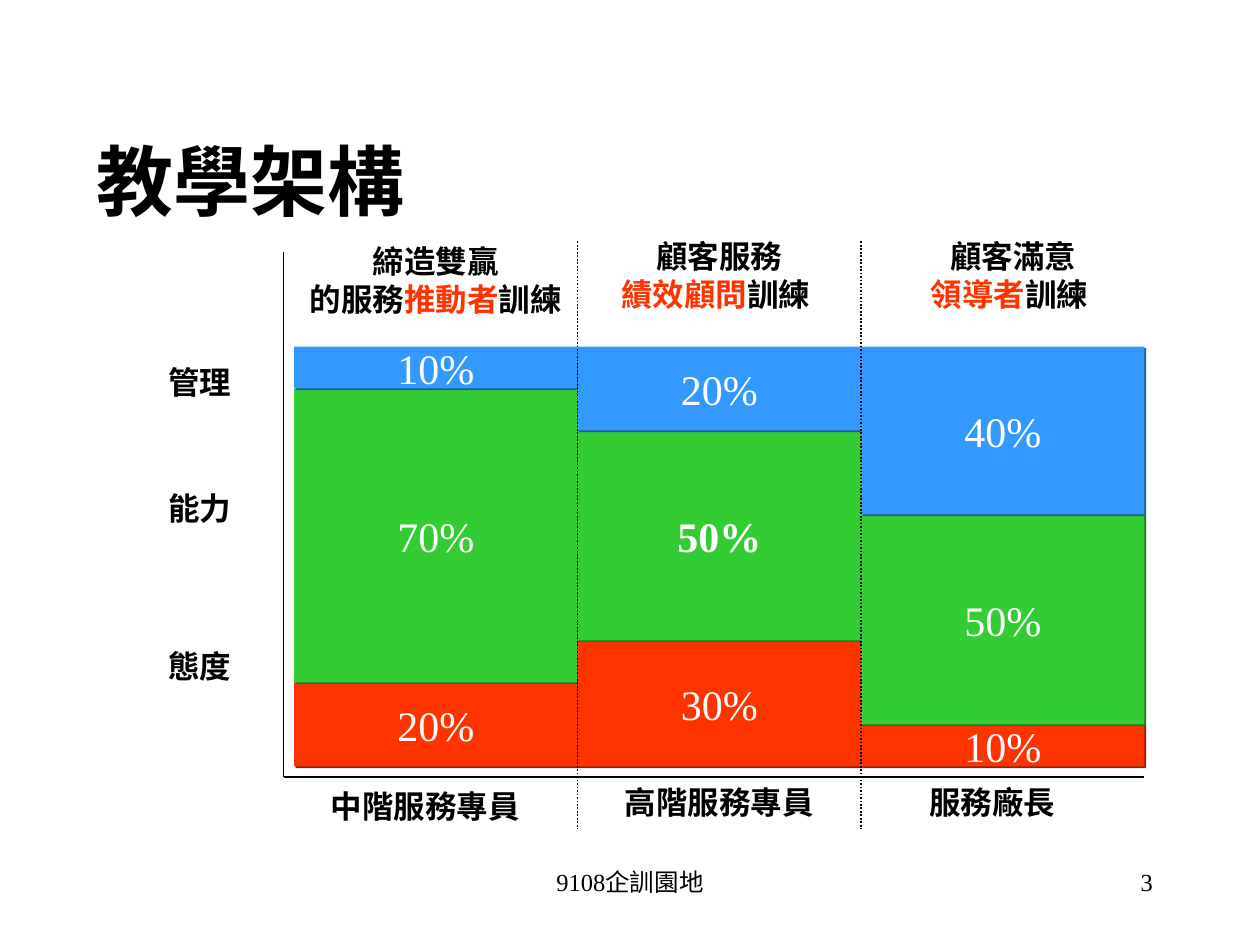
from dataclasses import dataclass

from lxml import etree
from pptx import Presentation
from pptx.dml.color import RGBColor
from pptx.enum.dml import MSO_LINE
from pptx.enum.shapes import MSO_CONNECTOR, MSO_SHAPE
from pptx.enum.text import MSO_ANCHOR, MSO_AUTO_SIZE, PP_ALIGN
from pptx.oxml.ns import qn
from pptx.util import Inches, Pt

LEFT, MID, RIGHT = PP_ALIGN.LEFT, PP_ALIGN.CENTER, PP_ALIGN.RIGHT
TOP, CORE = MSO_ANCHOR.TOP, MSO_ANCHOR.MIDDLE
GROW, FIXED = MSO_AUTO_SIZE.SHAPE_TO_FIT_TEXT, MSO_AUTO_SIZE.NONE
RECT, LINE, DOTS = MSO_SHAPE.RECTANGLE, MSO_CONNECTOR.STRAIGHT, MSO_LINE.ROUND_DOT
COLS, WIDE, HIGH = 120, 10, 7.5


@dataclass(frozen=True)
class Theme:
    """Hold the colours, fonts and type sizes."""

    ink: str = "000000"
    white: str = "FFFFFF"
    red: str = "FF3300"
    green: str = "33CC33"
    blue: str = "3399FF"
    shades: tuple = ("981E00", "1E791E", "1E5B98")
    latin: str = "Times New Roman"
    asian: str = "Noto Sans CJK TC"
    title: int = 44
    value: int = 24
    label: int = 18
    foot: int = 14


def put(item, values):
    """Set each named attribute of an item."""
    for name, value in values.items():
        setattr(item, name, value)


def unit(count):
    """Turn a count of grid columns or rows into a length."""
    return Inches(count * WIDE / COLS)


class Board:
    """Draw styled elements on the current slide."""

    def __init__(self, deck, theme):
        """Add a title-only slide."""
        self.theme = theme
        self.slide = deck.slides.add_slide(deck.slide_layouts[5])

    def fill_in(self, shape, lines, size, bold=False, color=None, align=MID,
                font=None, anchor=TOP, wrap=True, fit=FIXED):
        """Fill a shape with lines of text and coloured runs."""
        frame = shape.text_frame
        put(frame, dict(word_wrap=wrap, vertical_anchor=anchor, auto_size=fit))
        para = frame.paragraphs[0]
        para.alignment = align
        for row, line in enumerate(lines):
            if row:
                para.add_line_break()
            for part in line:
                text, tint = part if isinstance(part, tuple) else (part, color)
                run = para.add_run()
                run.text = text
                put(run.font, dict(size=Pt(size), bold=bold, name=font or self.theme.latin))
                run.font.color.rgb = RGBColor.from_string(tint or self.theme.ink)
                etree.SubElement(run.font._element, qn("a:ea"), typeface=self.theme.asian)

    def title(self, text, *box):
        """Place and fill the title."""
        shape = self.slide.shapes.title
        put(shape, dict(zip(("left", "top", "width", "height"), map(unit, box))))
        self.fill_in(shape, [[text]], self.theme.title, True, align=LEFT, anchor=CORE)

    def text(self, lines, box, size, **style):
        """Add a text box."""
        shape = self.slide.shapes.add_textbox(*map(unit, box))
        self.fill_in(shape, lines, size, **style)

    def label(self, lines, *box, font=None):
        """Add a bold centred label."""
        self.text(lines, box, self.theme.label, bold=True, font=font, fit=GROW)

    def bar(self, share, box, fill, shade, bold):
        """Add a block with its share and a thin shadow."""
        shape = self.slide.shapes.add_shape(RECT, *map(unit, box))
        shape.shadow.inherit = False
        shape.fill.solid()
        shape.fill.fore_color.rgb = RGBColor.from_string(fill)
        shape.line.fill.background()
        effects = shape._element.spPr.find(qn("a:effectLst"))
        cast = etree.SubElement(effects, qn("a:outerShdw"), dist=str(Pt(1.4)),
                                dir="2700000", algn="ctr", rotWithShape="0")
        etree.SubElement(cast, qn("a:srgbClr"), val=shade)
        self.fill_in(shape, [[f"{share}%"]], self.theme.value, bold,
                     self.theme.white, anchor=CORE, wrap=False)

    def rule(self, *ends, width=0.75, dash=None):
        """Add a straight line."""
        link = self.slide.shapes.add_connector(LINE, *map(unit, ends))
        put(link.line, dict(width=Pt(width), dash_style=dash))
        link.line.color.rgb = RGBColor.from_string(self.theme.ink)
        etree.SubElement(link._element.spPr, qn("a:effectLst"))


def main():
    """Build and save the slide."""
    deck = Presentation()
    put(deck, dict(slide_width=Inches(WIDE), slide_height=Inches(HIGH)))
    theme = Theme()
    board = Board(deck, theme)
    left, step, base, ten = 28, 27, 73, 4

    board.title("教學架構", 8, 11.9, 36.5, 10.4)

    fills = (theme.red, theme.green, theme.blue)
    for col, shares in enumerate([(20, 70, 10), (30, 50, 20), (10, 50, 40)]):
        top = base
        for share, fill, shade in zip(shares, fills, theme.shades):
            rows = share / 10 * ten
            top -= rows
            bold = col == 1 and fill == theme.green
            board.bar(share, (left + col * step, top, step, rows), fill, shade, bold)

    for col in (1, 2):
        spot = left + col * step
        board.rule(spot, 23, spot, 79, width=1, dash=DOTS)
    board.rule(27, 24, 27, 74)
    board.rule(27, 74, 109, 74)

    heads = [
        (28, 22.5, None, "締造雙贏", ["的服務", ("推動者", theme.red), "訓練"]),
        (55, 22, theme.asian, "顧客服務", [("績效顧問", theme.red), "訓練 "]),
        (83, 22, theme.asian, "顧客滿意", [("領導者", theme.red), "訓練 "]),
    ]
    for x, y, font, first, second in heads:
        board.label([[first], second], x, y, step, 8.4, font=font)

    for name, x, y in [("中階服務專員", 27, 74.4), ("高階服務專員", 55, 74), ("服務廠長", 81, 74)]:
        board.label([[name]], x, y, step, 4.8)
    for name, y in [("管理", 34), ("能力", 46), ("態度", 61)]:
        board.label([[name]], 14, y, 10, 4.8)

    board.text([["9108企訓園地"]], (41, 82, 38, 6), theme.foot)
    board.text([["3"]], (86, 82, 25, 6), theme.foot, align=RIGHT)
    deck.save("out.pptx")


if __name__ == "__main__":
    main()
